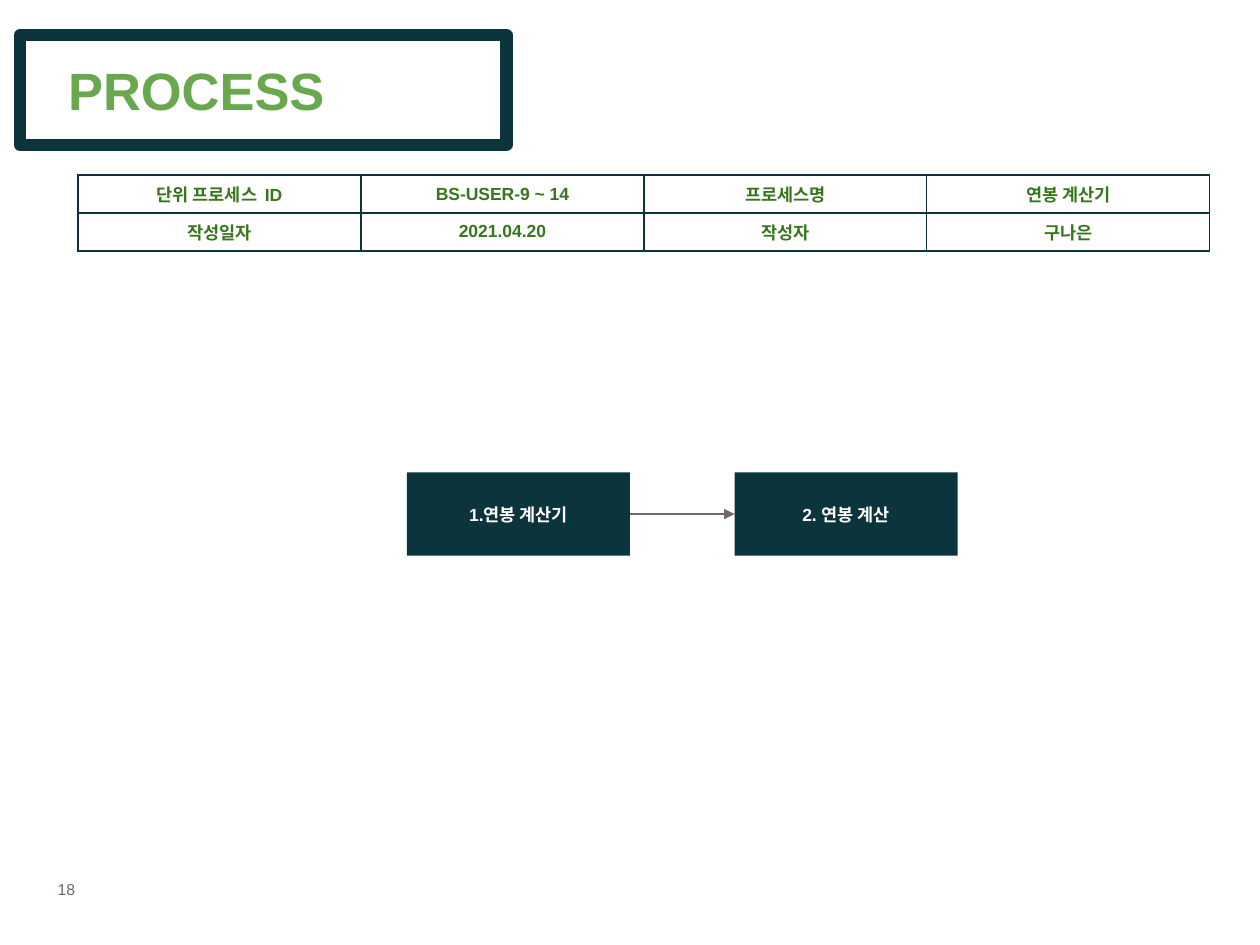
from lxml.etree import SubElement as Sub
from pptx import Presentation
from pptx.dml.color import RGBColor
from pptx.enum.shapes import MSO_CONNECTOR as Conn, MSO_SHAPE as Shape
from pptx.enum.text import MSO_ANCHOR as Anchor, PP_ALIGN as Align
from pptx.oxml.ns import qn
from pptx.util import Inches, Pt

DARK = RGBColor(0x0C, 0x34, 0x3D)
LIME = RGBColor(0x6A, 0xA8, 0x4F)
GREEN = RGBColor(0x38, 0x76, 0x1D)
GRAY = RGBColor(0x72, 0x68, 0x68)
PAGE = RGBColor(0x71, 0x67, 0x67)
WHITE = RGBColor(0xFF, 0xFF, 0xFF)

ROWS = [
    ["단위 프로세스  ID", "BS-USER-9 ~ 14", "프로세스명", "연봉 계산기"],
    ["작성일자", "2021.04.20", "작성자", "구나은"],
]
STEPS = ["1.연봉 계산기", "2. 연봉 계산"]


def write(frame, text, size, color, bold=True, align=Align.CENTER):
    frame.text = text
    para = frame.paragraphs[0]
    para.alignment = align
    font = para.font
    font.name = "Arial"
    font.size = Pt(size)
    font.bold = bold
    font.color.rgb = color


def add_title(slide, text):
    title = slide.shapes.title
    title.left, title.top = Inches(0.44), Inches(0.08)
    title.width, title.height = Inches(7.17), Inches(1.26)
    title.text_frame.vertical_anchor = Anchor.MIDDLE
    write(title.text_frame, text, 30, LIME, align=Align.LEFT)


def add_page(slide, text):
    box = slide.shapes.add_textbox(Inches(0.36), Inches(6.93), Inches(0.52), Inches(0.25))
    box.text_frame.word_wrap = True
    write(box.text_frame, text, 9, PAGE, bold=False, align=Align.LEFT)


def add_rect(slide, left, top, width, height):
    rect = slide.shapes.add_shape(
        Shape.RECTANGLE, Inches(left), Inches(top), Inches(width), Inches(height))
    rect.shadow.inherit = False
    return rect


def add_frame(slide):
    rect = add_rect(slide, 0.16, 0.28, 3.86, 0.87)
    rect.fill.background()
    rect.line.color.rgb = DARK
    rect.line.width = Pt(7)


def add_step(slide, left, text):
    rect = add_rect(slide, left, 3.75, 1.77, 0.66)
    rect.fill.solid()
    rect.fill.fore_color.rgb = DARK
    rect.line.fill.background()
    rect.text_frame.vertical_anchor = Anchor.MIDDLE
    write(rect.text_frame, text, 10, WHITE)
    return rect


def add_arrow(slide, start, end):
    arrow = slide.shapes.add_connector(Conn.STRAIGHT, 0, 0, 0, 0)
    arrow.begin_connect(start, 3)
    arrow.end_connect(end, 1)
    arrow.line.color.rgb = GRAY
    arrow.line.width = Pt(0.75)
    Sub(arrow.line._get_or_add_ln(), qn("a:tailEnd"), type="triangle")
    Sub(arrow._element.spPr, qn("a:effectLst"))


def set_border(cell):
    props = cell._tc.get_or_add_tcPr()
    for side in ("lnL", "lnR", "lnT", "lnB"):
        line = Sub(props, qn(f"a:{side}"), w=str(Pt(1)))
        fill = Sub(line, qn("a:solidFill"))
        Sub(fill, qn("a:srgbClr"), val=str(DARK))


def add_grid(slide, rows):
    count = len(rows[0])
    table = slide.shapes.add_table(
        len(rows), count, Inches(0.62), Inches(1.39),
        Inches(2.245 * count), Inches(0.3 * len(rows))).table
    table.first_row = table.horz_banding = False
    for r, row in enumerate(rows):
        for c, text in enumerate(row):
            cell = table.cell(r, c)
            set_border(cell)
            cell.fill.background()
            cell.vertical_anchor = Anchor.MIDDLE
            write(cell.text_frame, text, 10, GREEN)


def main():
    deck = Presentation()
    deck.slide_width, deck.slide_height = Inches(10), Inches(7.5)
    slide = deck.slides.add_slide(deck.slide_layouts[5])
    add_page(slide, "18")
    start, end = [add_step(slide, 3.23 + 2.6 * i, text) for i, text in enumerate(STEPS)]
    add_arrow(slide, start, end)
    add_frame(slide)
    add_title(slide, "PROCESS")
    add_grid(slide, ROWS)
    deck.save("out.pptx")


if __name__ == "__main__":
    main()
